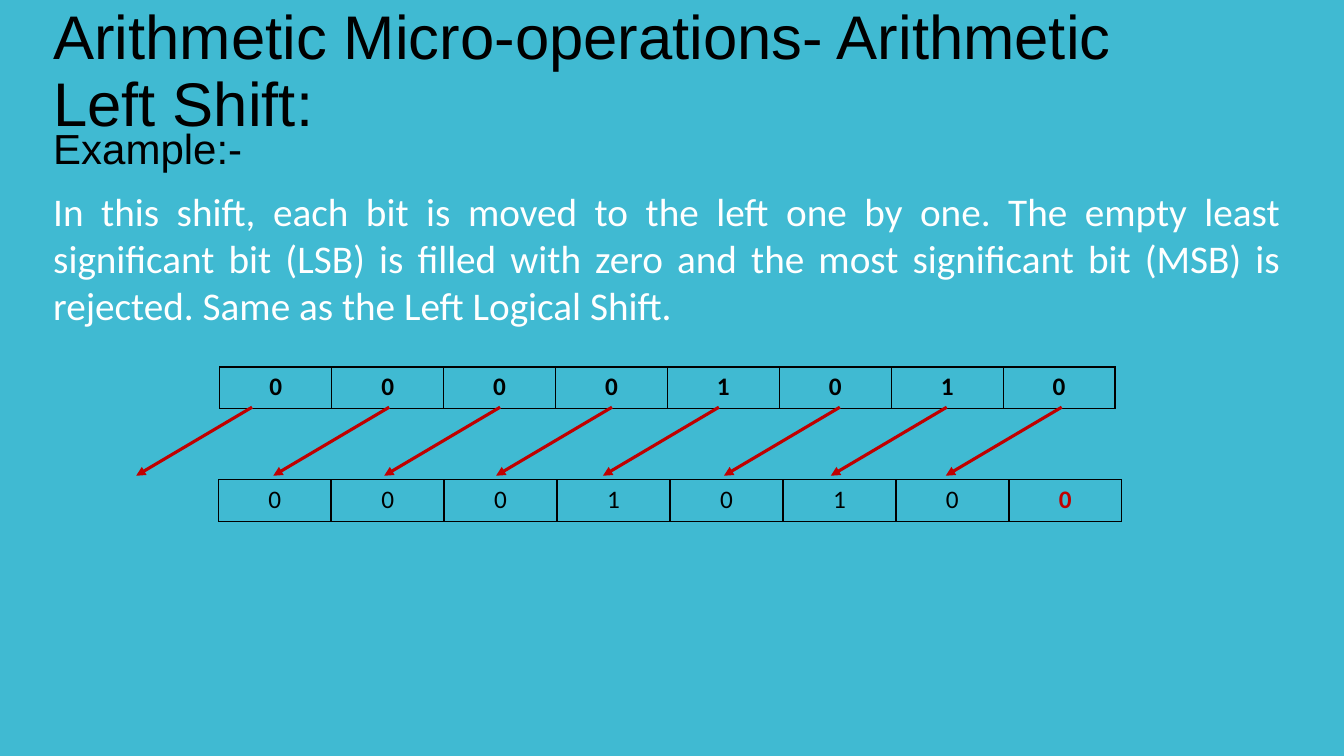
"""Builds a slide that shows an arithmetic left shift of an eight-bit register."""
from lxml.etree import SubElement
from pptx import Presentation
from pptx.dml.color import RGBColor
from pptx.enum.shapes import MSO_CONNECTOR
from pptx.enum.text import MSO_ANCHOR, PP_ALIGN
from pptx.oxml.ns import qn
from pptx.util import Inches, Pt

COLORS = {"background": "40BAD2", "ink": "000000", "white": "FFFFFF", "accent": "C00000"}
BITS_BEFORE = "00001010"
BITS_AFTER = "00010100"
ARROW_STARTS = [2.5, 3.86, 4.96, 6.07, 7.13, 8.33, 9.39, 10.53]


def style_text(paragraph, size, font, color, bold=False):
    for run in paragraph.runs:
        run.font.size = Pt(size)
        run.font.name = font
        run.font.bold = bold
        run.font.color.rgb = RGBColor.from_string(COLORS[color])


def add_register(left, top, bits, bold, color="ink"):
    frame = slide.shapes.add_table(1, len(bits), Inches(left), Inches(top),
                                   Inches(1.11 * len(bits)), Inches(0.41))
    register = frame.table
    register.first_row = register.horz_banding = False
    for cell, bit in zip(register.iter_cells(), bits):
        cell.text_frame.text = bit
        digit = cell.text_frame.paragraphs[0]
        digit.alignment = PP_ALIGN.CENTER
        style_text(digit, 18, "Calibri", color, bold)
        properties = cell._tc.get_or_add_tcPr()
        for side in ("a:lnL", "a:lnR", "a:lnT", "a:lnB"):
            border = SubElement(properties, qn(side), w=str(Pt(1)))
            fill = SubElement(border, qn("a:solidFill"))
            SubElement(fill, qn("a:srgbClr"), val=COLORS["ink"])
        cell.fill.background()


prs = Presentation()
prs.slide_width, prs.slide_height = Inches(13.33), Inches(7.5)
slide = prs.slides.add_slide(prs.slide_layouts[6])
slide.background.fill.solid()
slide.background.fill.fore_color.rgb = RGBColor.from_string(COLORS["background"])

title = slide.shapes.add_textbox(Inches(0.43), Inches(0), Inches(11.5), Inches(1.45)).text_frame
title.word_wrap = True
title.vertical_anchor = MSO_ANCHOR.MIDDLE
title.text = "Arithmetic Micro-operations- Arithmetic Left Shift:"
title.paragraphs[0].line_spacing = 0.9
style_text(title.paragraphs[0], 44, "Arial", "ink")

body = slide.shapes.add_textbox(Inches(0.43), Inches(1.17), Inches(12.37), Inches(5.92)).text_frame
body.word_wrap = True
example = body.paragraphs[0]
example.text = "Example:-"
style_text(example, 30, "Arial", "ink")
explanation = body.add_paragraph()
explanation.text = (
    "In this shift, each bit is moved to the left one by one. The empty least significant bit (LSB) "
    "is filled with zero and the most significant bit (MSB) is rejected. Same as the Left Logical Shift."
)
style_text(explanation, 28, "Calibri", "white")
for paragraph in (example, explanation):
    paragraph.alignment = PP_ALIGN.JUSTIFY
    paragraph.space_before = Pt(10)

add_register(2.18, 3.64, BITS_BEFORE, bold=True)

for start in ARROW_STARTS:
    arrow = slide.shapes.add_connector(MSO_CONNECTOR.STRAIGHT, Inches(start), Inches(4.04),
                                       Inches(start - 1.15), Inches(4.72))
    arrow.line.width = Pt(2.25)
    arrow.line.color.rgb = RGBColor.from_string(COLORS["accent"])
    SubElement(arrow.line._get_or_add_ln(), qn("a:tailEnd"), type="triangle")
    SubElement(arrow._element.spPr, qn("a:effectLst"))

for position, bit in enumerate(BITS_AFTER):
    is_new_lsb = position == len(BITS_AFTER) - 1
    add_register(2.17 + 1.12 * position, 4.76, bit, is_new_lsb, "accent" if is_new_lsb else "ink")

prs.save("out.pptx")
